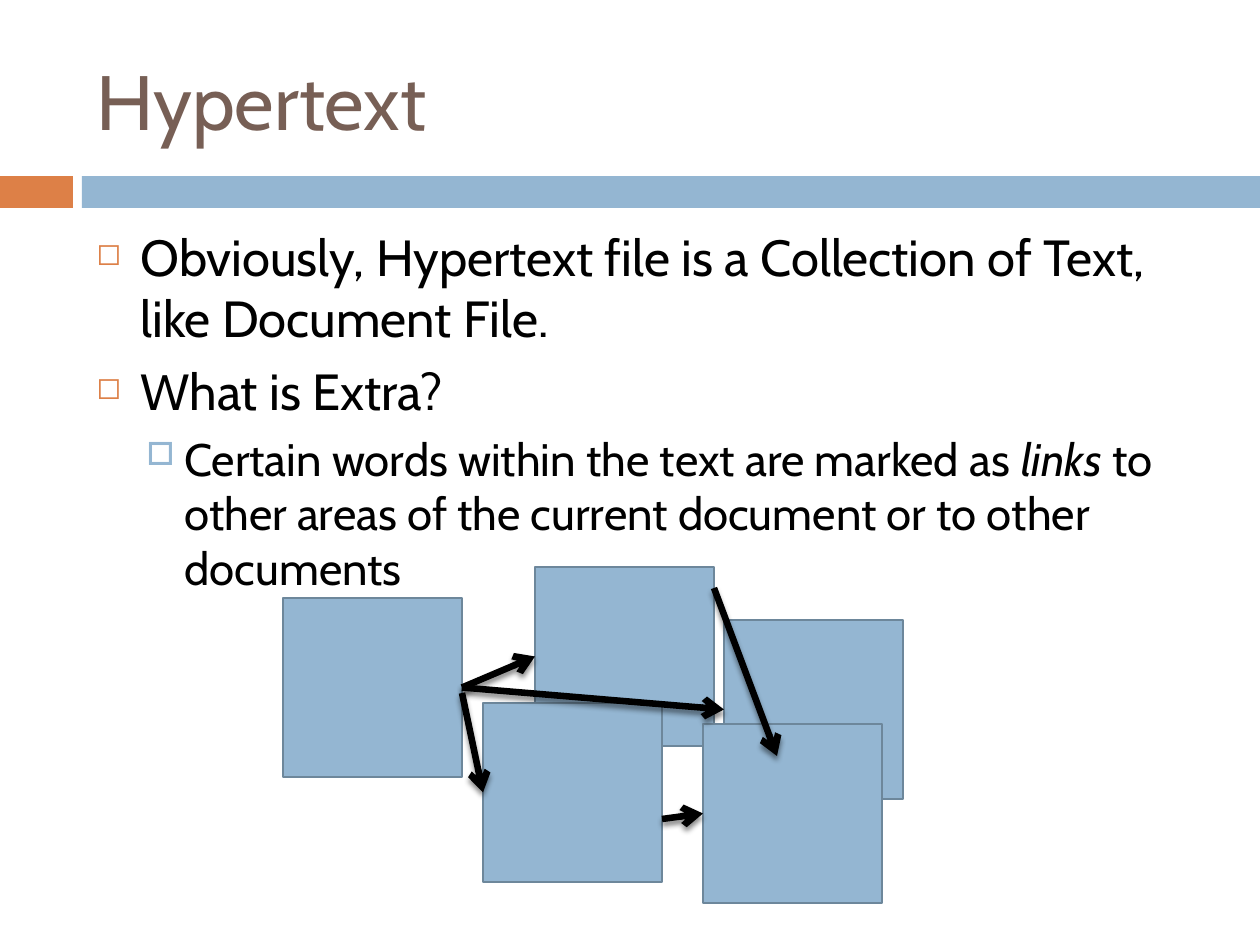
from dataclasses import dataclass

from lxml.etree import SubElement
from pptx import Presentation
from pptx.dml.color import RGBColor
from pptx.enum.shapes import MSO_CONNECTOR, MSO_SHAPE
from pptx.enum.text import MSO_ANCHOR
from pptx.oxml.ns import qn
from pptx.util import Emu, Pt

EMU_PER_PX = 914400 / 126
PAGE_SIZE = 179
TOP, LEFT, BOTTOM, RIGHT = range(4)


@dataclass(frozen=True)
class Theme:
    """Colours, font and type sizes of the slide."""
    font: str = "Cabin"
    blue: str = "94B6D2"
    orange: str = "DD8047"
    brown: str = "775F55"
    black: str = "000000"
    outline: str = "6D879B"
    title_size: int = 44
    point_size: int = 29
    detail_size: int = 26


@dataclass(frozen=True)
class BulletLevel:
    """Look of one outline level."""
    mark: str
    mark_color: str
    mark_percent: int
    margin: int
    hanging: int
    size: int
    space_before: float


THEME = Theme()
LEVELS = (
    BulletLevel("◻", THEME.orange, 60, 44, 44, THEME.point_size, 7),
    BulletLevel("□", THEME.blue, 70, 88, 38, THEME.detail_size, 5.5),
)
OUTLINE = (
    (0, ("Obviously, Hypertext file is a Collection of Text, like Document File.",)),
    (0, ("What is Extra?",)),
    (1, ("Certain words within the text are marked as ", "links",
         " to other areas of the current document or to other documents")),
)


def px(length):
    """Turn px into EMU."""
    return Emu(round(length * EMU_PER_PX))


def color(hex_code):
    """Turn a hex code into a colour."""
    return RGBColor.from_string(hex_code)


def add_rectangle(slide, left, top, width, height, fill, outline=None):
    """Add a flat rectangle, outlined if a colour is given."""
    rectangle = slide.shapes.add_shape(
        MSO_SHAPE.RECTANGLE, px(left), px(top), px(width), px(height))
    rectangle.shadow.inherit = False
    rectangle.fill.solid()
    rectangle.fill.fore_color.rgb = color(fill)
    if outline:
        rectangle.line.color.rgb = color(outline)
        rectangle.line.width = Pt(1.5)
    else:
        rectangle.line.fill.background()
    return rectangle


def add_page(slide, left, top):
    """Add one linked document page."""
    return add_rectangle(slide, left, top, PAGE_SIZE, PAGE_SIZE, THEME.blue, THEME.outline)


def add_text_frame(slide, left, top, width, height):
    """Add a wrapping text box and return its frame."""
    frame = slide.shapes.add_textbox(px(left), px(top), px(width), px(height)).text_frame
    frame.word_wrap = True
    return frame


def style_run(run, size, hex_code):
    """Set font, size and colour of a run."""
    run.font.name = THEME.font
    run.font.size = Pt(size)
    run.font.color.rgb = color(hex_code)


def add_title(slide, title):
    """Add the slide title."""
    frame = add_text_frame(slide, 84, 32, 1124, 136)
    frame.vertical_anchor = MSO_ANCHOR.MIDDLE
    frame.text = title
    style_run(frame.paragraphs[0].runs[0], THEME.title_size, THEME.brown)


def add_bullet(paragraph, level):
    """Give a paragraph its hanging bullet."""
    properties = paragraph._p.get_or_add_pPr()
    properties.set("marL", str(px(level.margin)))
    properties.set("indent", str(-px(level.hanging)))
    mark_color = SubElement(properties, qn("a:buClr"))
    SubElement(mark_color, qn("a:srgbClr"), val=level.mark_color)
    SubElement(properties, qn("a:buSzPct"), val=str(level.mark_percent * 1000))
    SubElement(properties, qn("a:buChar"), char=level.mark)


def add_outline(slide, outline):
    """Add the bulleted text, with every second run in italics."""
    frame = add_text_frame(slide, 84, 220, 1124, 620)
    for index, (depth, phrases) in enumerate(outline):
        level = LEVELS[depth]
        paragraph = frame.add_paragraph() if index else frame.paragraphs[0]
        paragraph.level = depth
        if index:
            paragraph.space_before = Pt(level.space_before)
        add_bullet(paragraph, level)
        for position, phrase in enumerate(phrases):
            run = paragraph.add_run()
            run.text = phrase
            style_run(run, level.size, THEME.black)
            run.font.italic = position % 2 == 1


def add_shadow(link):
    """Drop a soft shadow below a link arrow."""
    effects = SubElement(link._element.spPr, qn("a:effectLst"))
    shadow = SubElement(effects, qn("a:outerShdw"), blurRad=str(Pt(3)),
                        dist=str(Pt(2.4)), dir="5400000", rotWithShape="0")
    shade = SubElement(shadow, qn("a:srgbClr"), val=THEME.black)
    SubElement(shade, qn("a:alpha"), val="45000")


def add_link(slide, start, end, source=None, target=None):
    """Add a link arrow, joined to the side of source or target pages."""
    link = slide.shapes.add_connector(
        MSO_CONNECTOR.STRAIGHT, *(px(length) for length in (*start, *end)))
    if source:
        link.begin_connect(source, RIGHT)
    if target:
        link.end_connect(target, LEFT)
    link.line.color.rgb = color(THEME.black)
    link.line.width = Pt(3.75)
    SubElement(link.line._get_or_add_ln(), qn("a:tailEnd"), type="arrow")
    add_shadow(link)


def add_link_diagram(slide):
    """Add the pages and the links between them."""
    home = add_page(slide, 283, 598)
    add_page_positions = ((535, 567), (483, 703), (724, 620), (703, 724))
    upper, lower, far, last = (add_page(slide, *place) for place in add_page_positions)
    add_link(slide, (462, 688), (535, 656), home, upper)
    add_link(slide, (462, 693), (483, 793), target=lower)
    add_link(slide, (662, 819), (703, 814), target=last)
    add_link(slide, (462, 688), (724, 709), home, far)
    add_link(slide, (714, 588), (777, 756))


def main():
    """Build and save the slide."""
    presentation = Presentation()
    presentation.slide_width, presentation.slide_height = px(1260), px(945)
    slide = presentation.slides.add_slide(presentation.slide_layouts[6])
    add_rectangle(slide, 0, 176, 73, 32, THEME.orange)
    add_rectangle(slide, 82, 176, 1178, 32, THEME.blue)
    add_outline(slide, OUTLINE)
    add_title(slide, "Hypertext")
    add_link_diagram(slide)
    presentation.save("out.pptx")


if __name__ == "__main__":
    main()
